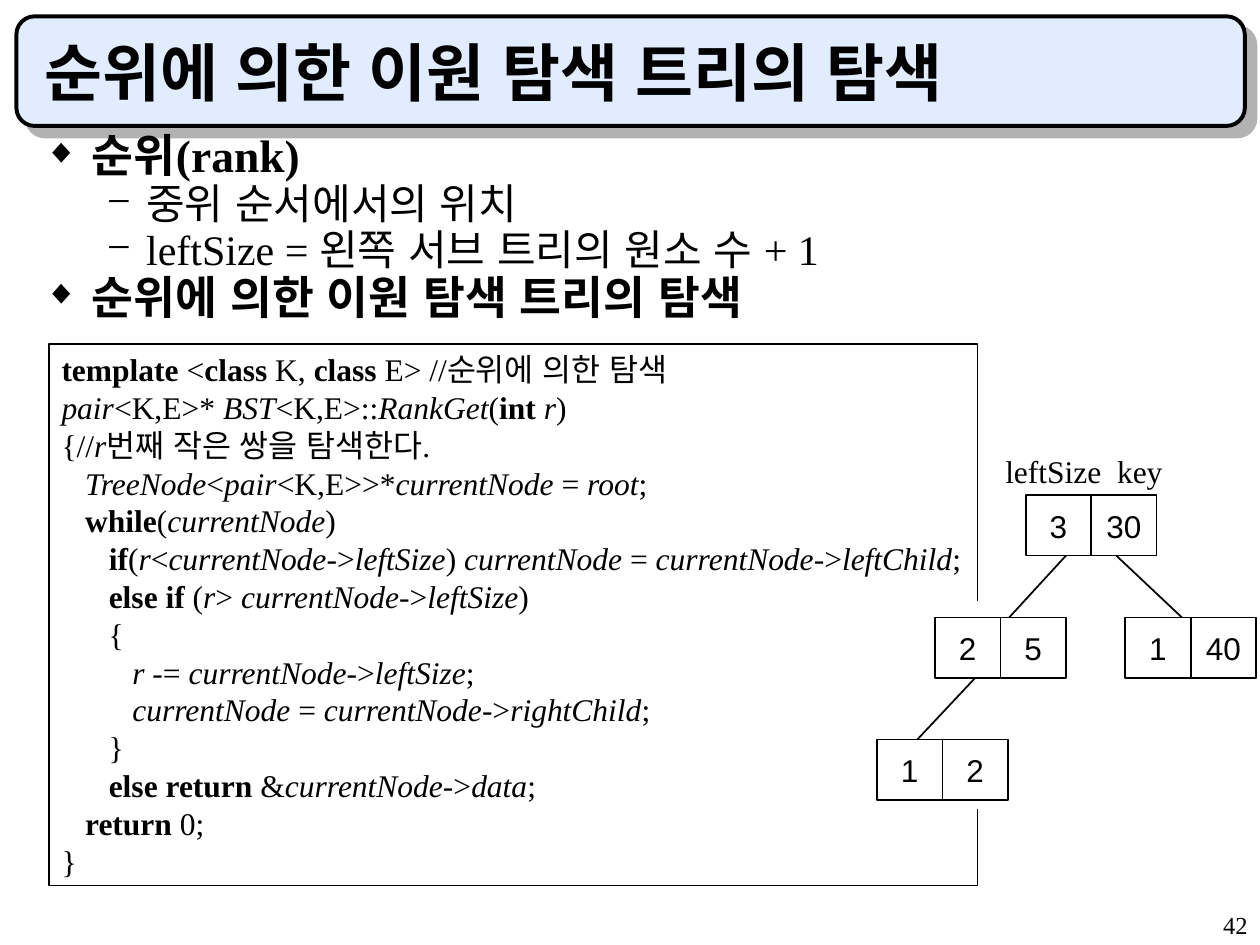
"""Build the slide on searching a binary search tree by rank."""
from dataclasses import dataclass

from lxml import etree
from pptx import Presentation
from pptx.dml.color import RGBColor
from pptx.enum.shapes import MSO_CONNECTOR, MSO_SHAPE
from pptx.enum.text import MSO_ANCHOR, MSO_AUTO_SIZE, PP_ALIGN
from pptx.oxml.ns import qn
from pptx.util import Inches, Pt

RECTANGLE, ROUNDED = MSO_SHAPE.RECTANGLE, MSO_SHAPE.ROUNDED_RECTANGLE
STRAIGHT = MSO_CONNECTOR.STRAIGHT
TOP, MIDDLE, BOTTOM = MSO_ANCHOR.TOP, MSO_ANCHOR.MIDDLE, MSO_ANCHOR.BOTTOM
LEFT, CENTER, RIGHT = PP_ALIGN.LEFT, PP_ALIGN.CENTER, PP_ALIGN.RIGHT
NO_FIT = MSO_AUTO_SIZE.NONE


@dataclass(frozen=True)
class Theme:
    ink: str = "000000"
    paper: str = "FFFFFF"
    banner: str = "E1ECFF"
    shadow: str = "B2B2B2"
    serif: str = "Times New Roman"
    sans: str = "Arial"
    korean: str = "Noto Sans CJK KR"
    title: int = 36
    heading: int = 26
    detail: int = 24
    code: int = 18
    page_number: int = 14


@dataclass(frozen=True)
class Area:
    left: float
    top: float
    width: float
    height: float

    def lengths(self) -> list:
        return [Inches(value) for value in (self.left, self.top, self.width, self.height)]


@dataclass(frozen=True)
class Level:
    number: int
    margin: float
    hanging: float
    space_before: float
    size: int
    bold: bool
    bullet: str
    bullet_percent: int


@dataclass(frozen=True)
class Node:
    left: float
    depth: int
    left_size: str
    key: str


@dataclass(frozen=True)
class Edge:
    start: float
    end: float
    depth: int


THEME = Theme()
HEADING = Level(0, 0.38, 0.38, 6.5, THEME.heading, True, "◆", 75)
DETAIL = Level(1, 0.81, 0.31, 6, THEME.detail, False, "−", 100)
TITLE = "순위에 의한 이원 탐색 트리의 탐색"
OUTLINE = [
    (HEADING, "순위(rank)"),
    (DETAIL, "중위 순서에서의 위치"),
    (DETAIL, "leftSize = 왼쪽 서브 트리의 원소 수 + 1"),
    (HEADING, TITLE),
]
ITALIC_MARK, BOLD_MARK = "~", "^"
CODE = """^template^ <^class^ K, ^class^ E> //순위에 의한 탐색
~pair~<K,E>* ~BST~<K,E>::~RankGet~(^int ^~r~)
{//~r~번째 작은 쌍을 탐색한다.
   ~TreeNode~<~pair~<K,E>>*~currentNode~ = ~root~;
   ^while^(~currentNode~)
      ^if^(~r~<~currentNode~->~leftSize~) ~currentNode~ = ~currentNode~->~leftChild~;
      ^else if^ (~r~> ~currentNode~->~leftSize~)
      {
         ~r~ -= ~currentNode~->~leftSize~;
         ~currentNode~ = ~currentNode~->~rightChild~;
      }
      ^else return^ &~currentNode~->~data~;
   ^return^ 0;
}""".splitlines()
TREE_TOP, LEVEL_STEP = 3.93, 0.97
CELL_WIDTH, CELL_HEIGHT = 0.52, 0.48
NODES = [Node(8.14, 0, "3", "30"), Node(7.42, 1, "2", "5"),
         Node(8.93, 1, "1", "40"), Node(6.96, 2, "1", "2")]
EDGES = [Edge(8.46, 8.01, 0), Edge(7.74, 7.28, 1), Edge(8.86, 9.38, 0)]


def add_span(para, text: str, size: int, face: str = THEME.serif,
             bold: bool = False, italic: bool = False) -> None:
    span = para.add_run()
    span.text = text
    formats = {"size": Pt(size), "bold": bold, "italic": italic, "name": face}
    for name, value in formats.items():
        setattr(span.font, name, value)
    span.font.color.rgb = RGBColor.from_string(THEME.ink)
    latin = span.font._element.find(qn("a:latin"))
    latin.addnext(latin.makeelement(qn("a:ea"), {"typeface": THEME.sans}))


def format_frame(frame, anchor=TOP, wrap: bool = True) -> None:
    formats = {
        "auto_size": NO_FIT, "word_wrap": wrap, "vertical_anchor": anchor,
        "margin_left": Inches(0.1), "margin_right": Inches(0.1),
        "margin_top": Inches(0.05), "margin_bottom": Inches(0.05),
    }
    for name, value in formats.items():
        setattr(frame, name, value)


def move_placeholder(box, area: Area, anchor=TOP) -> None:
    for name, value in zip(("left", "top", "width", "height"), area.lengths()):
        setattr(box, name, value)
    format_frame(box.text_frame, anchor)


def add_box(page, area: Area, fill: str | None = None, line: float | None = None,
            kind=RECTANGLE):
    box = page.shapes.add_shape(kind, *area.lengths())
    box.shadow.inherit = False
    if fill:
        box.fill.solid()
        box.fill.fore_color.rgb = RGBColor.from_string(fill)
    else:
        box.fill.background()
    if line:
        box.line.width = Pt(line)
        box.line.color.rgb = RGBColor.from_string(THEME.ink)
    else:
        box.line.fill.background()
    return box


def add_label(page, area: Area, text: str, size: int, align=LEFT) -> None:
    frame = page.shapes.add_textbox(*area.lengths()).text_frame
    format_frame(frame, wrap=False)
    frame.paragraphs[0].alignment = align
    add_span(frame.paragraphs[0], text, size)


def add_banner(page) -> None:
    banner = add_box(page, Area(0.13, 0.13, 9.75, 0.87), THEME.banner, 2.25, ROUNDED)
    effects = banner._element.spPr.find(qn("a:effectLst"))
    shadow = etree.SubElement(effects, qn("a:outerShdw"), blurRad="0", dist=str(Pt(8.5)),
                              dir="2700000", algn="ctr", rotWithShape="0")
    etree.SubElement(shadow, qn("a:srgbClr"), val=THEME.shadow)
    page.shapes._spTree.insert(2, banner._element)


def add_bullet(para, level: Level) -> None:
    properties = para._p.get_or_add_pPr()
    properties.set("marL", str(Inches(level.margin)))
    properties.set("indent", str(-Inches(level.hanging)))
    color = etree.SubElement(properties, qn("a:buClr"))
    etree.SubElement(color, qn("a:srgbClr"), val=THEME.ink)
    etree.SubElement(properties, qn("a:buSzPct"), val=str(level.bullet_percent * 1000))
    etree.SubElement(properties, qn("a:buFont"), typeface=THEME.serif)
    etree.SubElement(properties, qn("a:buChar"), char=level.bullet)


def fill_outline(frame) -> None:
    for index, (level, text) in enumerate(OUTLINE):
        para = frame.add_paragraph() if index else frame.paragraphs[0]
        add_bullet(para, level)
        formats = {"level": level.number, "line_spacing": 0.7, "alignment": LEFT,
                   "space_before": Pt(level.space_before if index else 0)}
        for name, value in formats.items():
            setattr(para, name, value)
        add_span(para, text, level.size, bold=level.bold)


def add_code(page) -> None:
    frame = add_box(page, Area(0.39, 2.73, 7.37, 4.3), line=0.75).text_frame
    format_frame(frame, wrap=False)
    for index, line in enumerate(CODE):
        para = frame.add_paragraph() if index else frame.paragraphs[0]
        para.alignment = LEFT
        for italic_index, part in enumerate(line.split(ITALIC_MARK)):
            for bold_index, text in enumerate(part.split(BOLD_MARK)):
                if text:
                    add_span(para, text, THEME.code, bold=bold_index % 2 == 1,
                             italic=italic_index % 2 == 1)


def add_node(page, node: Node) -> None:
    top = TREE_TOP + node.depth * LEVEL_STEP
    for column, text in enumerate((node.left_size, node.key)):
        area = Area(node.left + column * CELL_WIDTH, top, CELL_WIDTH, CELL_HEIGHT)
        frame = add_box(page, area, THEME.paper, 1).text_frame
        format_frame(frame, MIDDLE, wrap=False)
        frame.paragraphs[0].alignment = CENTER
        add_span(frame.paragraphs[0], text, THEME.code, THEME.sans)


def add_edge(page, edge: Edge) -> None:
    child_top = TREE_TOP + (edge.depth + 1) * LEVEL_STEP
    parent_bottom = child_top - LEVEL_STEP + CELL_HEIGHT
    ends = (edge.start, parent_bottom, edge.end, child_top)
    line = page.shapes.add_connector(STRAIGHT, *map(Inches, ends))
    line.line.width = Pt(1)
    line.line.color.rgb = RGBColor.from_string(THEME.ink)
    etree.SubElement(line._element.spPr, qn("a:effectLst"))


def main() -> None:
    deck = Presentation()
    deck.slide_width, deck.slide_height = Inches(10), Inches(7.5)
    page = deck.slides.add_slide(deck.slide_layouts[1])
    title, body = page.placeholders
    add_banner(page)
    move_placeholder(title, Area(0.25, 0.25, 9.42, 0.67), BOTTOM)
    title.text_frame.paragraphs[0].alignment = LEFT
    add_span(title.text_frame.paragraphs[0], TITLE, THEME.title, THEME.korean, bold=True)
    move_placeholder(body, Area(0.25, 1.08, 9.5, 1.67))
    fill_outline(body.text_frame)
    add_label(page, Area(7.92, 7.17, 2.08, 0.33), "42", THEME.page_number, RIGHT)
    add_code(page)
    add_box(page, Area(7.52, 4.77, 0.39, 1.65), THEME.paper)
    for node in NODES:
        add_node(page, node)
    for edge in EDGES:
        add_edge(page, edge)
    add_label(page, Area(7.88, 3.54, 1.45, 0.4), "leftSize  key", THEME.code)
    deck.save("out.pptx")


if __name__ == "__main__":
    main()
